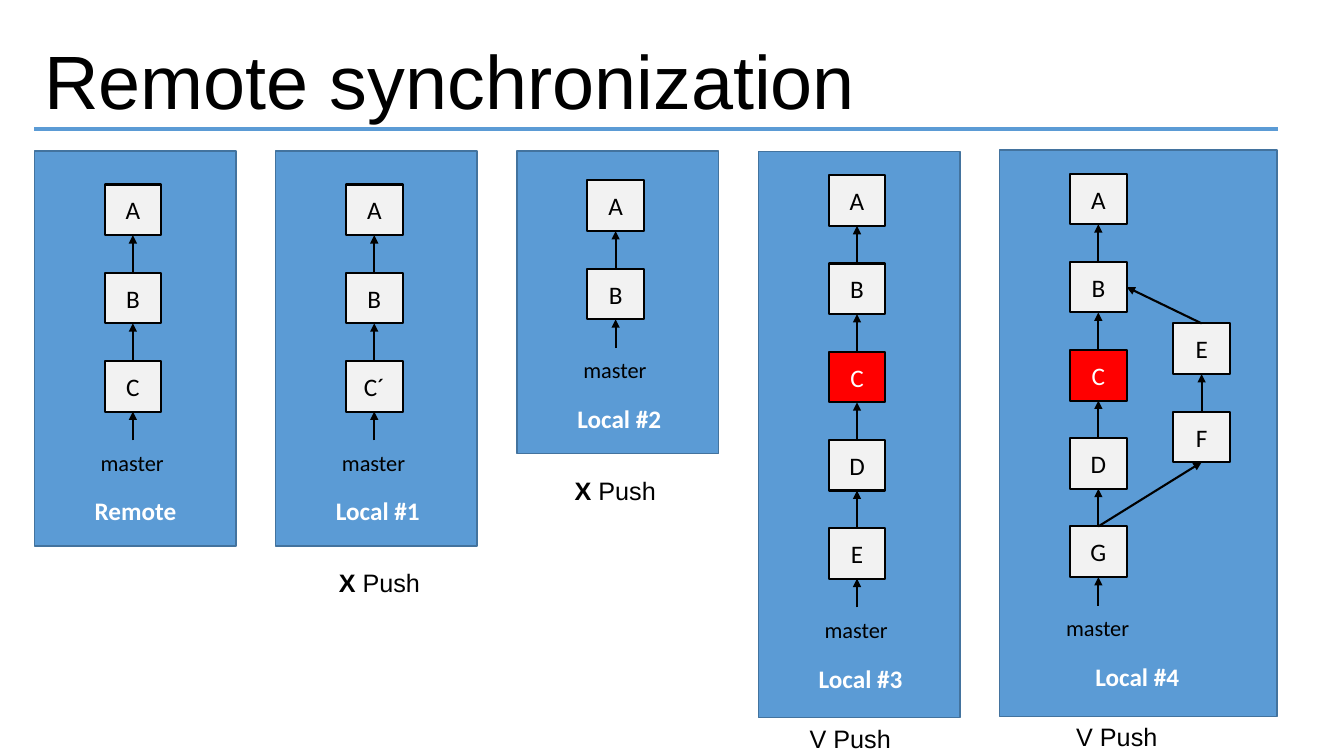
from dataclasses import dataclass

from lxml.etree import SubElement
from pptx import Presentation
from pptx.dml.color import RGBColor as Rgb
from pptx.enum.shapes import MSO_CONNECTOR as Link, MSO_SHAPE as Kind
from pptx.enum.text import MSO_ANCHOR as Anchor, MSO_AUTO_SIZE as Auto, PP_ALIGN as Align
from pptx.oxml.ns import qn
from pptx.shapes.autoshape import Shape
from pptx.shapes.connector import Connector
from pptx.util import Pt

HUES = {"black": "000000", "white": "FFFFFF", "blue": "5B9BD5",
        "edge": "43739E", "grey": "F2F2F2", "red": "FF0000"}

# Lengths in points
LEFT, STEP = 24.5, 172.4        # first panel and distance between panels
BOX_W, BOX_H, PITCH = 40.5, 36.2, 63
BOX_X = 50.2                    # commit column, from the panel's left edge
SIDE_X, SIDE_Y = 124, 231       # branch column of the last panel
TOP, RIGHT, BOTTOM = 0, 3, 2    # connection sites of a rectangle


@dataclass
class Run:
    text: str
    size: float = 18
    font: str = "Calibri"
    hue: str = "black"
    bold: bool = False


@dataclass
class Panel:
    name: str
    commits: list[str]
    first: float                # top of the first commit
    high: float
    top: float = 108
    wide: float = 144
    red: str = ""
    name_x: float = 36
    name_w: float = 75.6
    push: tuple[Run, ...] = ()
    push_x: float = 0
    push_gap: float = 11.8
    side: str = ""              # commits on the side branch


def rgb(hue: str) -> Rgb:
    return Rgb.from_string(HUES[hue])


def write(shape: Shape, runs: tuple[Run, ...]) -> None:
    for item in runs:
        run = shape.text_frame.paragraphs[0].add_run()
        run.text = item.text
        font = run.font
        font.size, font.name, font.bold = Pt(item.size), item.font, item.bold
        font.color.rgb = rgb(item.hue)


def label(shapes, x: float, y: float, w: float, h: float, *runs: Run) -> None:
    box = shapes.add_textbox(Pt(x), Pt(y), Pt(w), Pt(h))
    box.text_frame.word_wrap = False
    box.text_frame.auto_size = Auto.SHAPE_TO_FIT_TEXT
    write(box, runs)


def rect(shapes, x: float, y: float, w: float, h: float,
         fill: str, edge: str, weight: float) -> Shape:
    shape = shapes.add_shape(Kind.RECTANGLE, Pt(x), Pt(y), Pt(w), Pt(h))
    shape.shadow.inherit = False
    shape.fill.solid()
    shape.fill.fore_color.rgb = rgb(fill)
    shape.line.color.rgb = rgb(edge)
    shape.line.width = Pt(weight)
    return shape


def commit(shapes, x: float, y: float, text: str, hot: bool = False) -> Shape:
    box = rect(shapes, x, y, BOX_W, BOX_H, "red" if hot else "grey", "black", 1.5)
    box.text_frame.vertical_anchor = Anchor.MIDDLE
    box.text_frame.paragraphs[0].alignment = Align.CENTER
    write(box, (Run(text, hue="white" if hot else "black"),))
    return box


def line(shapes, start: tuple[int, int], end: tuple[int, int],
         hue: str, weight: float) -> Connector:
    link = shapes.add_connector(Link.STRAIGHT, *start, *end)
    link.line.color.rgb = rgb(hue)
    link.line.width = Pt(weight)
    SubElement(link._element.spPr, qn("a:effectLst"))
    return link


def arrow(shapes, start: tuple[int, int], end: tuple[int, int]) -> Connector:
    link = line(shapes, start, end, "black", 1.5)
    SubElement(link.line._get_or_add_ln(), qn("a:tailEnd"), type="triangle")
    return link


def site(box: Shape, spot: int) -> tuple[int, int]:
    mid = box.left + box.width // 2
    return {TOP: (mid, box.top),
            BOTTOM: (mid, box.top + box.height),
            RIGHT: (box.left + box.width, box.top + box.height // 2)}[spot]


def join(shapes, child: Shape, parent: Shape, spot: int = BOTTOM) -> None:
    link = arrow(shapes, site(child, TOP), site(parent, spot))
    link.begin_connect(child, TOP)
    link.end_connect(parent, spot)


def chain(shapes, x: float, y: float, names: list[str], red: str = "") -> list[Shape]:
    boxes = [commit(shapes, x, y + i * PITCH, name, name == red)
             for i, name in enumerate(names)]
    for parent, child in zip(boxes, boxes[1:]):
        join(shapes, child, parent)
    return boxes


def draw(shapes, x: float, panel: Panel) -> None:
    rect(shapes, x, panel.top, panel.wide, panel.high, "blue", "edge", 1)
    boxes = chain(shapes, x + BOX_X, panel.first, panel.commits, panel.red)

    # Branch pointer and panel name
    mid, foot = site(boxes[-1], BOTTOM)
    link = arrow(shapes, (mid, foot + Pt(20.5)), (mid, foot))
    link.end_connect(boxes[-1], BOTTOM)
    base = panel.first + (len(boxes) - 1) * PITCH + BOX_H
    label(shapes, x + 40.3, base + 23, 60.5, 26.6, Run("master", 16))
    label(shapes, x + panel.name_x, base + 56.5, panel.name_w, 29,
          Run(panel.name, hue="white", bold=True))

    # Side branch, merged into the last commit
    if panel.side:
        side = chain(shapes, x + SIDE_X, SIDE_Y, list(panel.side))
        join(shapes, side[0], boxes[1], RIGHT)
        join(shapes, boxes[-1], side[-1])

    # Push result under the panel
    if panel.push:
        label(shapes, x + panel.push_x, panel.top + panel.high + panel.push_gap,
              72.7, 29, *panel.push)


FAIL = (Run("X ", font="Arial", bold=True), Run("Push", font="Arial"))
PASS = (Run("V Push", font="Arial"),)

PANELS = [
    Panel("Remote", ["A", "B", "C"], 131.8, 282, name_w=73.4),
    Panel("Local #1", ["A", "B", "C´"], 131.8, 282, push=FAIL, push_x=38),
    Panel("Local #2", ["A", "B"], 128.9, 216, push=FAIL, push_x=34),
    Panel("Local #3", list("ABCDE"), 125.2, 404.6, red="C",
          push=PASS, push_x=29.5, push_gap=0.7),
    Panel("Local #4", list("ABCDG"), 124, 404.6, top=107.2, wide=198, red="C",
          name_x=61.2, push=PASS, push_x=47.5, push_gap=0.2, side="EF"),
]


def main() -> None:
    deck = Presentation()
    deck.slide_width, deck.slide_height = Pt(960), Pt(540)
    shapes = deck.slides.add_slide(deck.slide_layouts[6]).shapes

    # Title and rule
    label(shapes, LEFT, 21, 634.3, 72.7, Run("Remote synchronization", 54, "Arial"))
    line(shapes, (Pt(LEFT), Pt(92.2)), (Pt(913), Pt(92.2)), "blue", 3)

    # Repositories
    for i, panel in enumerate(PANELS):
        draw(shapes.add_group_shape().shapes, LEFT + i * STEP, panel)

    deck.save("out.pptx")


if __name__ == "__main__":
    main()
